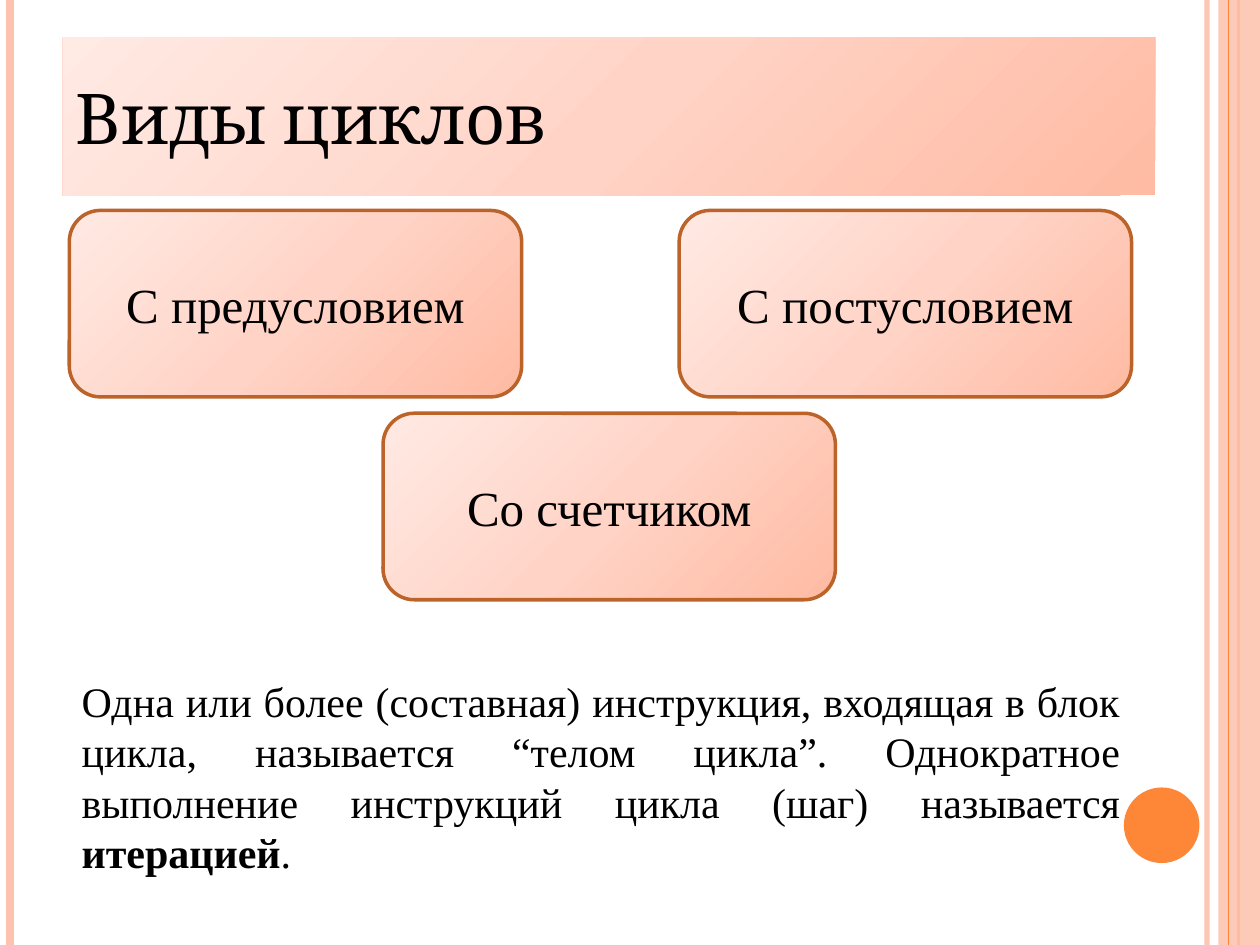
from copy import deepcopy

from lxml import etree
from pptx import Presentation
from pptx.dml.color import RGBColor
from pptx.enum.shapes import MSO_CONNECTOR, MSO_SHAPE
from pptx.enum.text import MSO_ANCHOR, MSO_AUTO_SIZE, PP_ALIGN
from pptx.oxml.ns import qn
from pptx.util import Inches, Pt

RECTANGLE, ROUNDED, OVAL = MSO_SHAPE.RECTANGLE, MSO_SHAPE.ROUNDED_RECTANGLE, MSO_SHAPE.OVAL
STRAIGHT = MSO_CONNECTOR.STRAIGHT
MIDDLE = MSO_ANCHOR.MIDDLE
LEFT, CENTER, JUSTIFY = PP_ALIGN.LEFT, PP_ALIGN.CENTER, PP_ALIGN.JUSTIFY
GROW = MSO_AUTO_SIZE.SHAPE_TO_FIT_TEXT

PEACH = RGBColor(0xFE, 0xC3, 0xAE)
ORANGE = RGBColor(0xFE, 0x86, 0x37)
BROWN = RGBColor(0xBC, 0x63, 0x29)
BLACK = RGBColor(0, 0, 0)
GRADIENT = [RGBColor(0xFF, 0xBB, 0xA3), RGBColor(0xFF, 0xD4, 0xC7), RGBColor(0xFF, 0xEA, 0xE4)]

TITLE_FONT = {"name": "Cambria", "size": Pt(40)}
CYCLE_FONT = {"name": "Times New Roman", "size": Pt(28)}
BODY_FONT = {"name": "Times New Roman", "size": Pt(24)}

prs = Presentation()
prs.slide_width, prs.slide_height = Inches(10), Inches(7.5)
slide = prs.slides.add_slide(prs.slide_layouts[6])
shapes = slide.shapes

# Grid of 100 columns by 75 rows
COL = prs.slide_width / 100
ROW = prs.slide_height / 75


def set_opacity(element, percent):
    """Make every RGB colour inside the element partly transparent."""
    for color in element.iter(qn("a:srgbClr")):
        etree.SubElement(color, qn("a:alpha")).set("val", str(percent * 1000))


def add_gradient_panel(kind, col, row, cols, rows, text, align, font):
    """Add a panel, light at top left, with one line of text."""
    panel = shapes.add_shape(kind, int(col * COL), int(row * ROW), int(cols * COL), int(rows * ROW))
    panel.shadow.inherit = False
    panel.fill.gradient()
    stop_list = panel._element.spPr.find(".//" + qn("a:gsLst"))
    stop_list.insert(1, deepcopy(stop_list[0]))
    for number, (stop, color) in enumerate(zip(panel.fill.gradient_stops, GRADIENT)):
        stop.position = number / 2
        stop.color.rgb = color
    panel.fill.gradient_angle = 135
    panel.line.fill.background()
    panel.text_frame.vertical_anchor = MIDDLE
    panel.text_frame.word_wrap = True
    paragraph = panel.text_frame.paragraphs[0]
    paragraph.text = text
    paragraph.alignment = align
    paragraph.font.color.rgb = BLACK
    for key, value in font.items():
        setattr(paragraph.font, key, value)
    return panel


# Side stripes: column, colour, width, opacity
stripes = [
    (95.8, PEACH, 3, 93),
    (0.8, PEACH, 4.5, 100),
    (98.3, ORANGE, 1.5, 100),
    (97.5, ORANGE, 0.75, 100),
]
for col, color, width, opacity in stripes:
    stripe = shapes.add_connector(STRAIGHT, int(col * COL), 0, int(col * COL), prs.slide_height)
    stripe.line.color.rgb = color
    stripe.line.width = Pt(width)
    etree.SubElement(stripe._element.spPr, qn("a:effectLst"))
    if opacity < 100:
        set_opacity(stripe._element.spPr, opacity)

# Right band and dot: kind, grid box, colour, opacity
ornaments = [
    (RECTANGLE, 96.7, 0, 3.3, 75, PEACH, 87),
    (OVAL, 89.2, 62.5, 6, 6, ORANGE, 100),
]
for kind, col, row, cols, rows, color, opacity in ornaments:
    ornament = shapes.add_shape(kind, int(col * COL), int(row * ROW), int(cols * COL), int(rows * ROW))
    ornament.shadow.inherit = False
    ornament.fill.solid()
    ornament.fill.fore_color.rgb = color
    ornament.line.fill.background()
    if opacity < 100:
        set_opacity(ornament._element.spPr, opacity)
        # The thin stripe at column 97.5 lies over the band
        shapes._spTree.insert(shapes._spTree.index(stripe._element), ornament._element)

add_gradient_panel(RECTANGLE, 5, 3, 86.7, 12.5, "Виды циклов", LEFT, TITLE_FONT)

cycles = [
    ("С предусловием", 5.5, 16.7),
    ("Со счетчиком", 30.4, 32.8),
    ("С постусловием", 53.9, 16.7),
]
for name, col, row in cycles:
    cycle = add_gradient_panel(ROUNDED, col, row, 35.9, 14.8, name, CENTER, CYCLE_FONT)
    cycle.line.color.rgb = BROWN
    cycle.line.width = Pt(2)

definition = shapes.add_textbox(int(5.5 * COL), int(53.1 * ROW), int(84.4 * COL), int(17.2 * ROW))
definition.text_frame.word_wrap = True
definition.text_frame.auto_size = GROW
sentence = definition.text_frame.paragraphs[0]
sentence.alignment = JUSTIFY
parts = [
    ("Одна или более (составная) инструкция, входящая в блок цикла, называется “телом цикла”. "
     "Однократное выполнение инструкций цикла (шаг) называется ", False),
    ("итерацией", True),
    (".", False),
]
for text, bold in parts:
    run = sentence.add_run()
    run.text = text
    run.font.color.rgb = BLACK
    for key, value in {**BODY_FONT, "bold": bold}.items():
        setattr(run.font, key, value)

prs.save("out.pptx")
